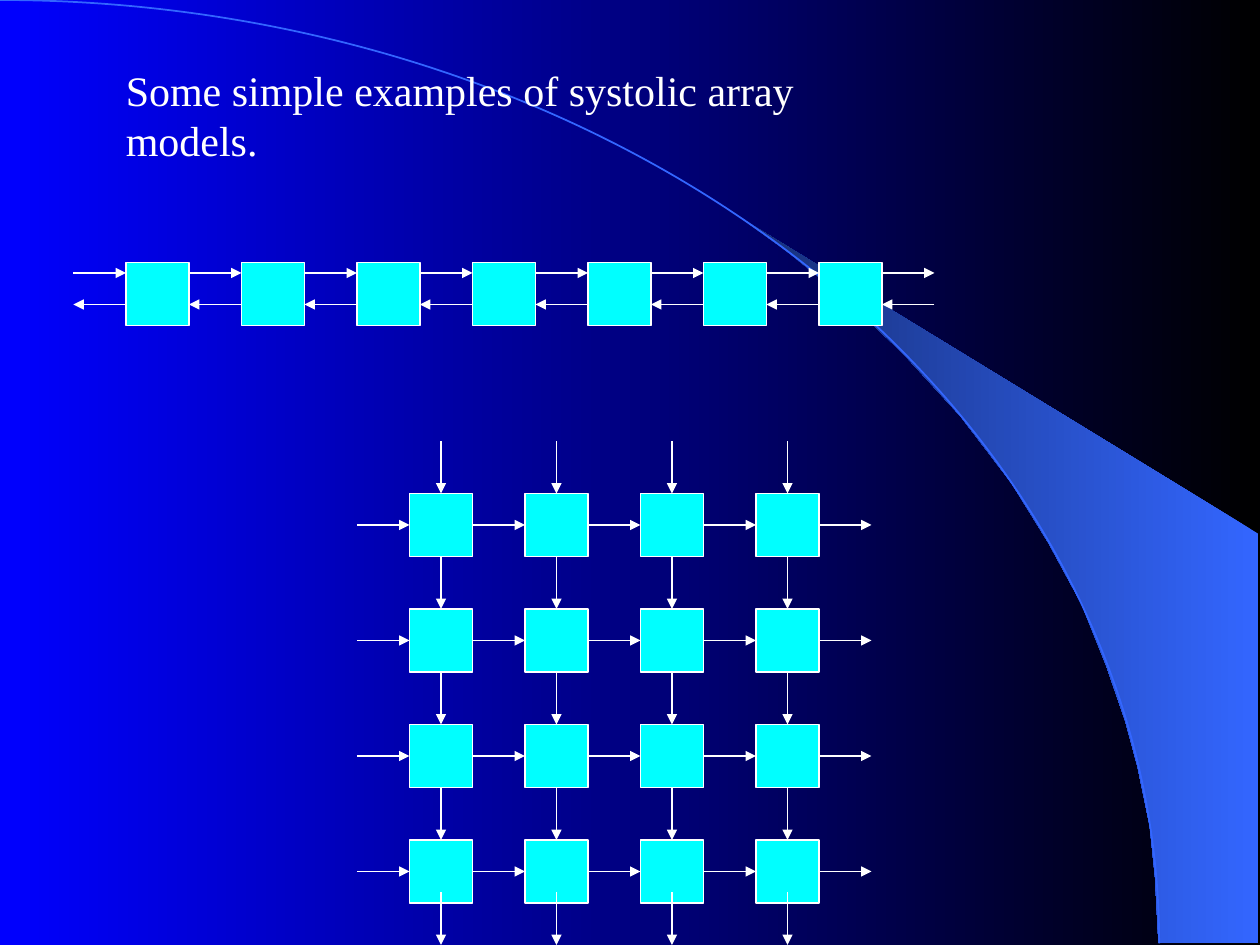
import pptx
import pptx.dml.color
import pptx.enum.shapes
import pptx.oxml.ns
import pptx.util
from lxml import etree

Pt = pptx.util.Pt
RGB = pptx.dml.color.RGBColor.from_string


class Theme:
    night, blue = RGB("000000"), RGB("0000FF")
    wing, wing_dark = RGB("3366FF"), RGB("172F75")
    cell, white = RGB("00FFFF"), RGB("FFFFFF")
    font, title_size = "Times New Roman", Pt(24)
    line, curve = Pt(0.75), Pt(1)


prs = pptx.Presentation()
prs.slide_width, prs.slide_height = Pt(720), Pt(540)
s = prs.slides.add_slide(prs.slide_layouts[6])


def add_cell(x, y):
    sp = s.shapes.add_shape(pptx.enum.shapes.MSO_SHAPE.RECTANGLE,
                            Pt(x), Pt(y), Pt(SIDE), Pt(SIDE))
    sp.shadow.inherit = False
    sp.fill.solid()
    sp.fill.fore_color.rgb = Theme.cell
    sp.line.color.rgb = Theme.white
    sp.line.width = Theme.line


def add_arrow(x1, y1, x2, y2):
    cx = s.shapes.add_connector(pptx.enum.shapes.MSO_CONNECTOR.STRAIGHT,
                                Pt(x1), Pt(y1), Pt(x2), Pt(y2))
    cx.line.color.rgb = Theme.white
    cx.line.width = Theme.line
    ln = cx.line._get_or_add_ln()
    etree.SubElement(ln, pptx.oxml.ns.qn("a:tailEnd"), type="triangle")
    etree.SubElement(cx._element.spPr, pptx.oxml.ns.qn("a:effectLst"))


# Wing at the right
wing_points = [
    (662.4, 538.6), (719.3, 539.3), (719.3, 304.6), (424.1, 124.6),
    (449.3, 143.3), (470.2, 159.8), (493.2, 180), (515.5, 201.6),
    (548.6, 237.6), (578.2, 276.5), (599, 310.3), (617.8, 344.9),
    (632.2, 380.2), (643, 411.8), (650.2, 438.5), (657.4, 472.3),
    (660.2, 501.1),
]
fb = s.shapes.build_freeform(*wing_points[0], scale=Pt(1))
fb.add_line_segments(wing_points[1:], close=True)
wing = fb.convert_to_shape()
wing.shadow.inherit = False
wing.line.fill.background()

# Gradients of the background and the wing, running from right to left
for fill, right, left in ((s.background.fill, Theme.night, Theme.blue),
                          (wing.fill, Theme.wing, Theme.wing_dark)):
    fill.gradient()
    fill.gradient_angle = 180
    for stop, color in zip(fill.gradient_stops, (right, left)):
        stop.color.rgb = color

# Quarter ellipse along the wing
arc = s.shapes.add_shape(pptx.enum.shapes.MSO_SHAPE.ARC,
                         Pt(-662.4), Pt(0), Pt(1324.8), Pt(1078))
arc.shadow.inherit = False
arc.fill.background()
arc.line.color.rgb = Theme.wing
arc.line.width = Theme.curve

SIDE, GAP = 36, 30
PITCH = SIDE + GAP

# Linear array: data flows both ways
ROW_X, ROW_Y, ROW_CELLS = 72, 150, 7
for i in range(ROW_CELLS):
    add_cell(ROW_X + i * PITCH, ROW_Y)
for i in range(ROW_CELLS + 1):
    x = ROW_X + i * PITCH
    add_arrow(x - GAP, ROW_Y + 6, x, ROW_Y + 6)
    add_arrow(x, ROW_Y + 24, x - GAP, ROW_Y + 24)

# Square array: data flows right and down
GRID_X, GRID_Y, N = 234, 282, 4
for row in range(N):
    for col in range(N):
        add_cell(GRID_X + col * PITCH, GRID_Y + row * PITCH)
for lane in range(N):
    mid_x = GRID_X + lane * PITCH + SIDE / 2
    mid_y = GRID_Y + lane * PITCH + SIDE / 2
    for step in range(N + 1):
        x = GRID_X + step * PITCH
        add_arrow(x - GAP, mid_y, x, mid_y)
        # The last arrow down ends at the slide edge
        y = min(GRID_Y + step * PITCH, 540)
        add_arrow(mid_x, y - GAP, mid_x, y)

# Title
tb = s.shapes.add_textbox(Pt(64.8), Pt(33.12), Pt(477.36), Pt(36))
tf = tb.text_frame
tf.word_wrap = False
p = tf.paragraphs[0]
p.text = "Some simple examples of systolic array models."
p.font.name = Theme.font
p.font.size = Theme.title_size
p.font.color.rgb = Theme.white

prs.save("out.pptx")
